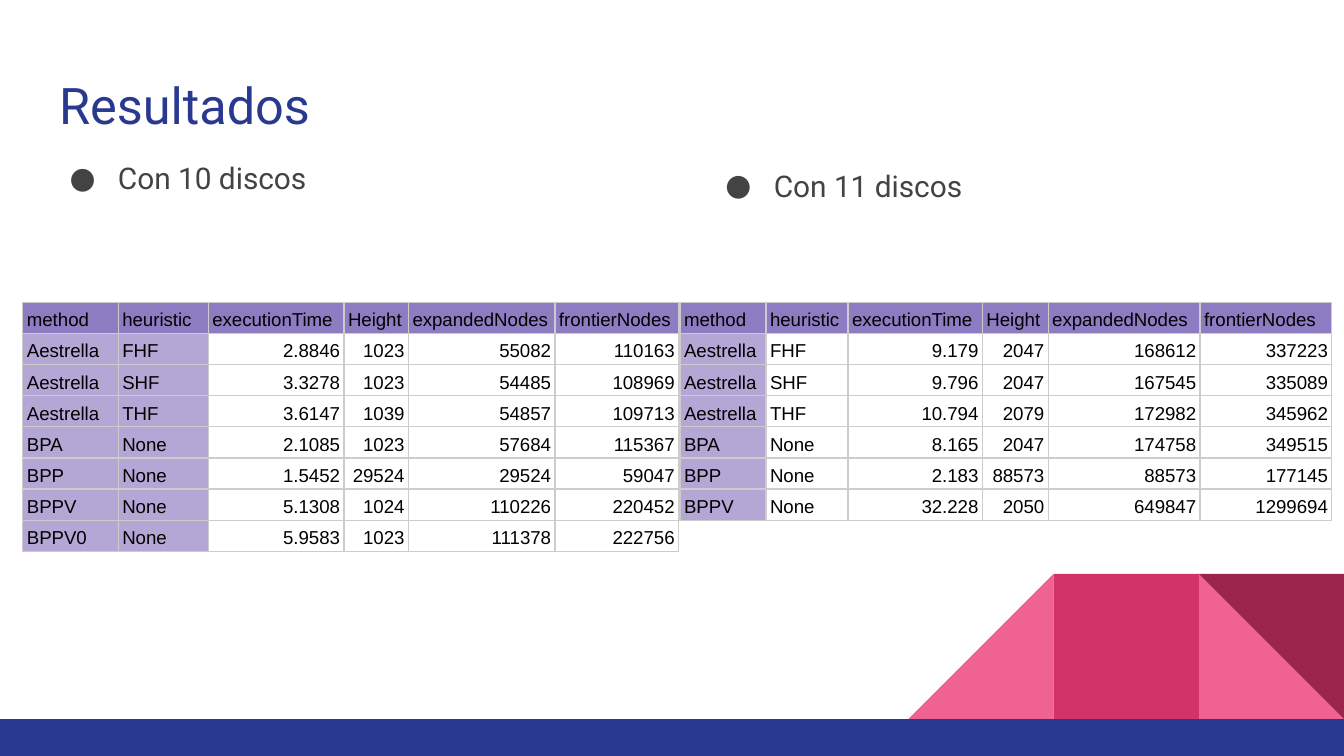
from pptx import Presentation
from pptx.dml.color import RGBColor
from pptx.enum.shapes import MSO_SHAPE as Shape
from pptx.enum.text import MSO_ANCHOR as Anchor, PP_ALIGN as Align
from pptx.oxml import parse_xml
from pptx.oxml.ns import nsdecls
from pptx.util import Inches, Pt

# Content
TITLE = "Resultados"
HEADERS = ["method", "heuristic", "executionTime", "Height",
           "expandedNodes", "frontierNodes"]
RESULTS = [
    {
        "label": "Con 10 discos", "label_box": (0.28, 1.11, 4.66, 0.45), "spacing": 0.95,
        "left": 0.17, "widths": [0.71, 0.67, 1.01, 0.48, 1.09, 0.92],
        "key_columns": 2, "body_fill": "FFFFFF",
        "rows": [
            ("Aestrella", "FHF", "2.8846", "1023", "55082", "110163"),
            ("Aestrella", "SHF", "3.3278", "1023", "54485", "108969"),
            ("Aestrella", "THF", "3.6147", "1039", "54857", "109713"),
            ("BPA", "None", "2.1085", "1023", "57684", "115367"),
            ("BPP", "None", "1.5452", "29524", "29524", "59047"),
            ("BPPV", "None", "5.1308", "1024", "110226", "220452"),
            ("BPPV0", "None", "5.9583", "1023", "111378", "222756"),
        ],
    },
    {
        "label": "Con 11 discos", "label_box": (5.16, 1.11, 4.66, 3.65), "spacing": 1.15,
        "left": 5.06, "widths": [0.64, 0.61, 1, 0.49, 1.13, 0.98],
        "key_columns": 1, "body_fill": None,
        "rows": [
            ("Aestrella", "FHF", "9.179", "2047", "168612", "337223"),
            ("Aestrella", "SHF", "9.796", "2047", "167545", "335089"),
            ("Aestrella", "THF", "10.794", "2079", "172982", "345962"),
            ("BPA", "None", "8.165", "2047", "174758", "349515"),
            ("BPP", "None", "2.183", "88573", "88573", "177145"),
            ("BPPV", "None", "32.228", "2050", "649847", "1299694"),
        ],
    },
]
THEME = {
    "navy": "2A3990", "pink": "F06292", "rose": "D23369", "wine": "9C254D",
    "text": "434343", "cell_text": "000000", "border": "CCCCCC",
    "header": "8E7CC3", "key": "B4A7D6",
    "font": "Roboto", "table_font": "Arial",
    "title_size": 27, "label_size": 16, "cell_size": 10, "border_width": 0.75,
}
PAGE_WIDTH, PAGE_HEIGHT = 10, 5.625
TABLE_TOP, ROW_HEIGHT = 2.25, 0.22
TILE, BAND_TOP = 1.08, 5.35
TEXT_COLUMNS = 2


def write(frame, text, *, size, color, font, align=Align.LEFT, spacing=1.0):
    para = frame.paragraphs[0]
    para.alignment, para.line_spacing = align, spacing
    span = para.add_run()
    span.text = text
    span.font.size, span.font.name = Pt(size), font
    span.font.color.rgb = RGBColor.from_string(color)
    return para


def set_margins(target, across, down):
    target.margin_left = target.margin_right = Inches(across)
    target.margin_top = target.margin_bottom = Inches(down)


def add_block(page, kind, place, color, *, flip=False, rotation=0):
    block = page.shapes.add_shape(kind, *map(Inches, place))
    block.shadow.inherit = False
    block.fill.solid()
    block.fill.fore_color.rgb = RGBColor.from_string(color)
    block.line.fill.background()
    block.rotation = rotation
    if flip:
        block.element.spPr.xfrm.set("flipH", "1")


def add_label(page, result):
    box = page.shapes.add_textbox(*map(Inches, result["label_box"]))
    box.text_frame.word_wrap = True
    set_margins(box.text_frame, 0.1, 0.1)
    para = write(box.text_frame, result["label"], size=THEME["label_size"],
                 color=THEME["text"], font=THEME["font"], spacing=result["spacing"])
    props = para._p.get_or_add_pPr()
    props.set("marL", str(Inches(0.5)))
    props.set("indent", str(Inches(-0.36)))
    props.append(parse_xml(f'<a:buClr {nsdecls("a")}><a:srgbClr val="{THEME["text"]}"/></a:buClr>'))
    props.append(parse_xml(f'<a:buFont {nsdecls("a")} typeface="{THEME["font"]}"/>'))
    props.append(parse_xml(f'<a:buChar {nsdecls("a")} char="●"/>'))


def style_cell(cell, fill):
    cell.vertical_anchor = Anchor.BOTTOM
    set_margins(cell, 0.03, 0.02)
    # Borders come before the fill in the cell properties
    props = cell._tc.get_or_add_tcPr()
    for side in ("lnL", "lnR", "lnT", "lnB"):
        props.append(parse_xml(
            f'<a:{side} {nsdecls("a")} w="{Pt(THEME["border_width"])}"><a:solidFill>'
            f'<a:srgbClr val="{THEME["border"]}"/></a:solidFill></a:{side}>'))
    if fill:
        cell.fill.solid()
        cell.fill.fore_color.rgb = RGBColor.from_string(fill)
    else:
        cell.fill.background()


def add_results(page, result):
    rows = [HEADERS, *result["rows"]]
    widths = result["widths"]
    table = page.shapes.add_table(
        len(rows), len(widths), Inches(result["left"]), Inches(TABLE_TOP),
        Inches(sum(widths)), Inches(ROW_HEIGHT * len(rows))).table
    table.first_row = table.horz_banding = False
    for column, width in zip(table.columns, widths):
        column.width = Inches(width)
    for r, values in enumerate(rows):
        table.rows[r].height = Inches(ROW_HEIGHT)
        for c, value in enumerate(values):
            if r == 0:
                fill = THEME["header"]
            else:
                fill = THEME["key"] if c < result["key_columns"] else result["body_fill"]
            cell = table.cell(r, c)
            style_cell(cell, fill)
            is_number = r > 0 and c >= TEXT_COLUMNS
            write(cell.text_frame, value, size=THEME["cell_size"], color=THEME["cell_text"],
                  font=THEME["table_font"], spacing=1.15,
                  align=Align.RIGHT if is_number else Align.LEFT)


def main():
    deck = Presentation()
    deck.slide_width, deck.slide_height = Inches(PAGE_WIDTH), Inches(PAGE_HEIGHT)
    page = deck.slides.add_slide(deck.slide_layouts[5])

    # Corner decoration: three square tiles resting on the bottom band
    top = BAND_TOP - TILE
    outer, middle, inner = [(PAGE_WIDTH - n * TILE, top, TILE, TILE) for n in (1, 2, 3)]
    add_block(page, Shape.RIGHT_TRIANGLE, outer, THEME["pink"])
    add_block(page, Shape.RIGHT_TRIANGLE, inner, THEME["pink"], flip=True)
    add_block(page, Shape.RECTANGLE, middle, THEME["rose"])
    add_block(page, Shape.RIGHT_TRIANGLE, outer, THEME["wine"], rotation=180)
    add_block(page, Shape.RECTANGLE,
              (0, BAND_TOP, PAGE_WIDTH, PAGE_HEIGHT - BAND_TOP), THEME["navy"])

    # Title
    title = page.shapes.title
    title.left, title.top, title.width, title.height = map(Inches, (0.34, 0.45, 9.32, 0.66))
    set_margins(title.text_frame, 0.1, 0.1)
    title.text_frame.vertical_anchor = Anchor.MIDDLE
    write(title.text_frame, TITLE, size=THEME["title_size"],
          color=THEME["navy"], font=THEME["font"])

    # Labels and result tables
    for result in RESULTS:
        add_label(page, result)
    for result in RESULTS:
        add_results(page, result)

    deck.save("out.pptx")


if __name__ == "__main__":
    main()
